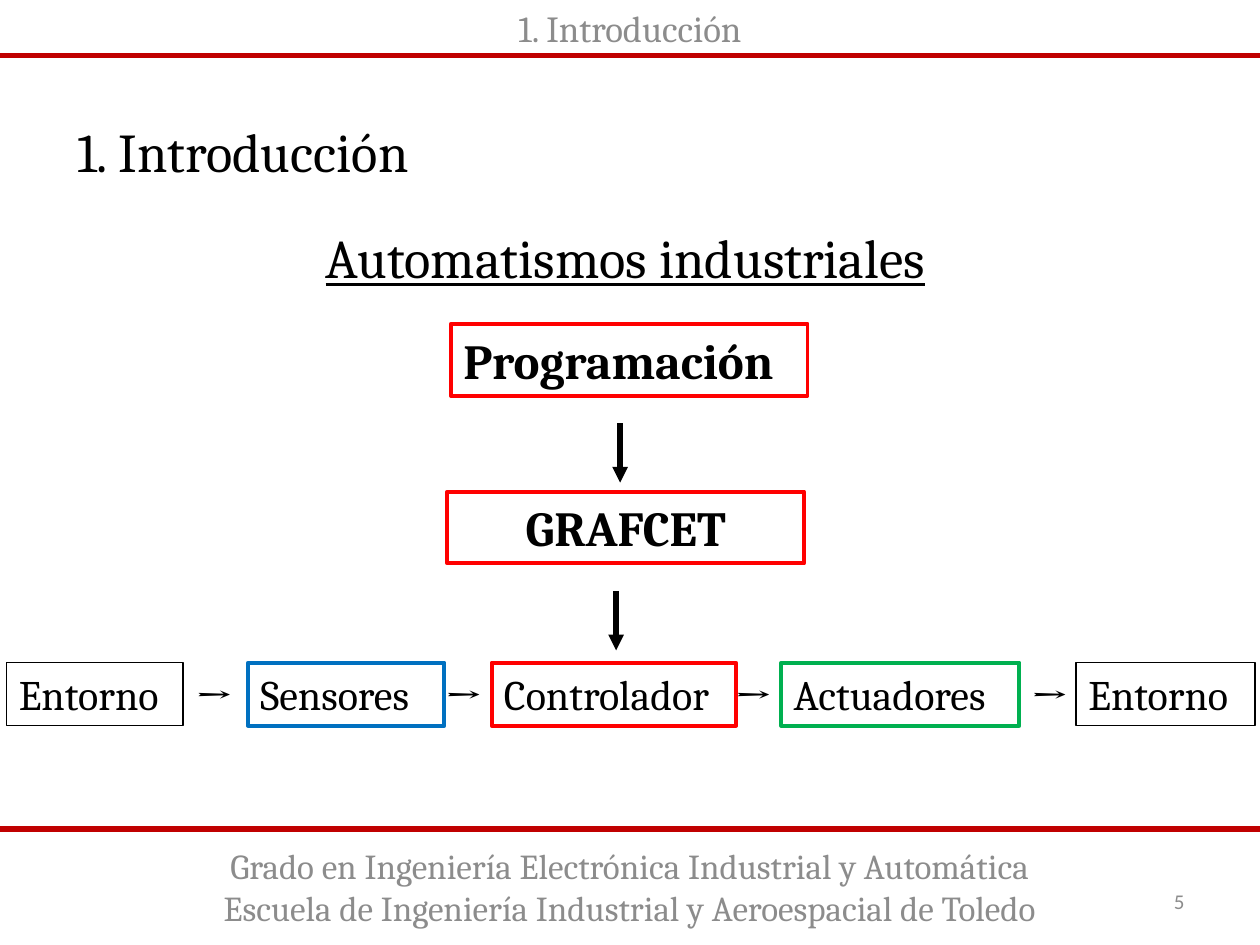
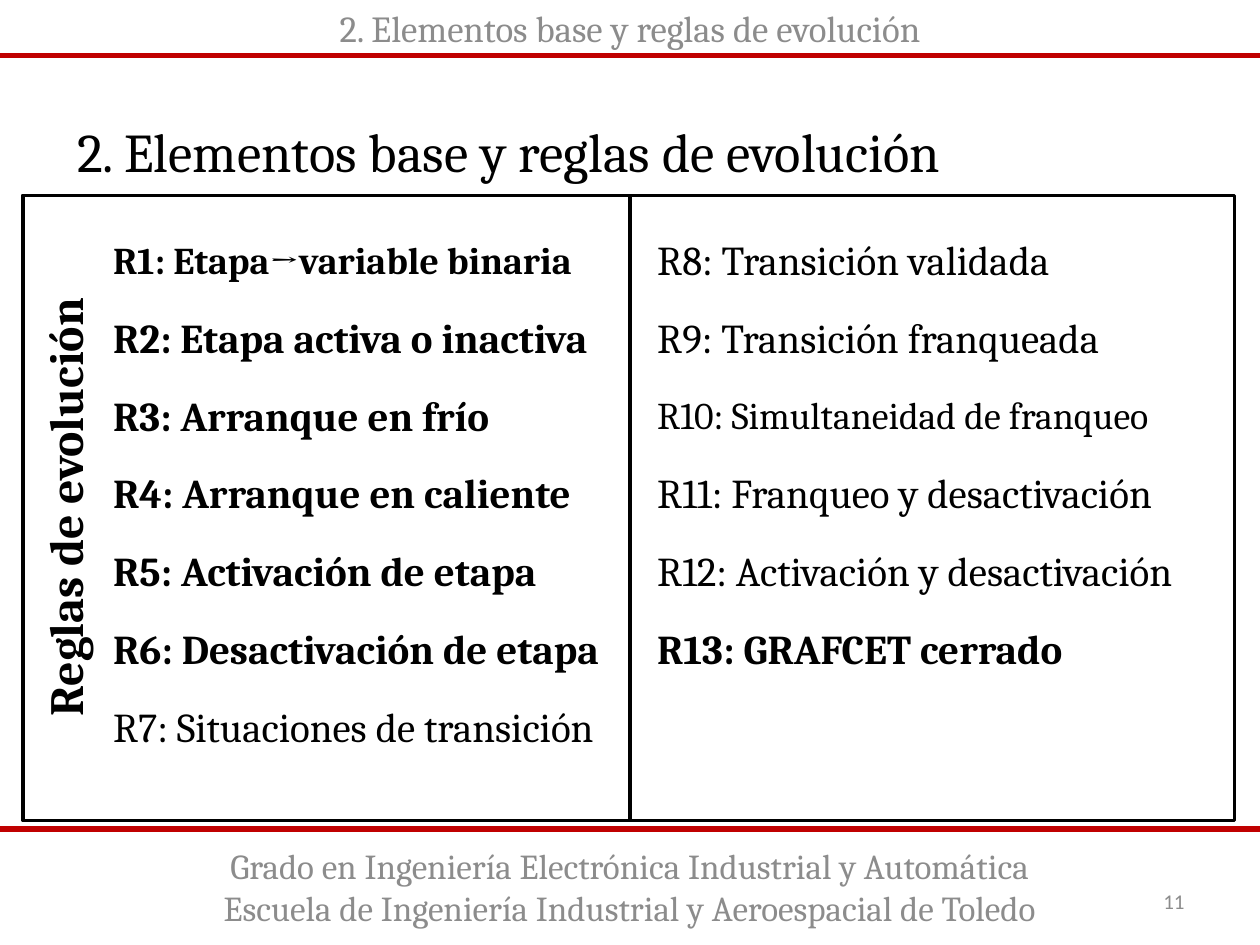
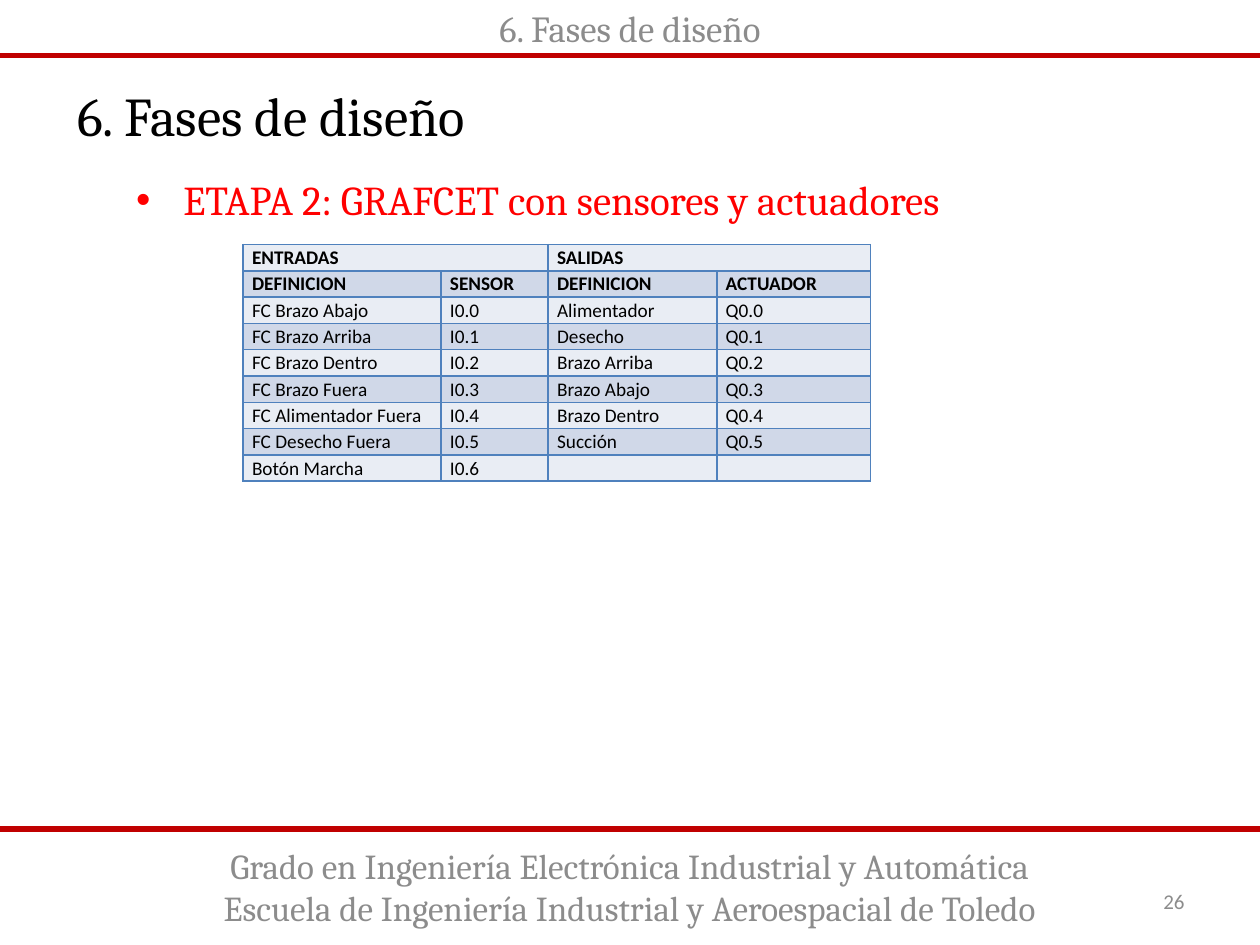
from lxml.etree import SubElement
from pptx import Presentation
from pptx.dml.color import RGBColor
from pptx.enum.shapes import MSO_CONNECTOR as Connector, MSO_SHAPE as Shape
from pptx.enum.text import MSO_ANCHOR as Anchor, MSO_AUTO_SIZE as AutoSize, PP_ALIGN as Align
from pptx.oxml.ns import qn
from pptx.util import Cm, Pt

colour = RGBColor.from_string
BLACK, GREY, RED, BAND_RED = "000000", "8C8C8C", "FF0000", "C00000"
BLUE, GREEN, TABLE_BLUE = "0070C0", "00B050", "4F81BD"
ROW_FILLS = ["E9EDF4", "D0D8E8"]
TITLE_SIZE, RULE_SIZE, SMALL_RULE_SIZE = 31.2, 23.4, 21.6
FOOTER = ["Grado en Ingeniería Electrónica Industrial y Automática",
          "Escuela de Ingeniería Industrial y Aeroespacial de Toledo"]


def write(box, lines, size, ink=BLACK, align=Align.LEFT, anchor=Anchor.MIDDLE,
          bold=False, underline=False, font="Cambria"):
    frame = box.text_frame
    frame.word_wrap = True
    frame.auto_size = AutoSize.NONE
    frame.vertical_anchor = anchor
    for index, line in enumerate(lines):
        para = frame.add_paragraph() if index else frame.paragraphs[0]
        para.alignment = align
        span = para.add_run()
        span.text = line
        span.font.name = font
        span.font.size = Pt(size)
        span.font.bold = bold
        span.font.underline = underline
        span.font.color.rgb = colour(ink)


def draw_line(page, start_x, start_y, end_x, end_y, ink):
    line = page.shapes.add_connector(
        Connector.STRAIGHT, Cm(start_x), Cm(start_y), Cm(end_x), Cm(end_y))
    line.line.color.rgb = colour(ink)
    line.line.width = Pt(3)
    SubElement(line._element.spPr, qn("a:effectLst"))
    return line


deck = Presentation()
deck.slide_width, deck.slide_height = Cm(25.4), Cm(19.05)

pages = []
for heading, number, layout, title_top, title_height in [
        ("1. Introducción", "5", 5, 2.13, 1.8),
        ("2. Elementos base y reglas de evolución", "11", 5, 2.13, 1.8),
        ("6. Fases de diseño", "26", 1, 1.52, 1.6)]:
    page = deck.slides.add_slide(deck.slide_layouts[layout])
    pages.append(page)
    for band_y in (16.71, 1.12):
        draw_line(page, 0, band_y, 25.4, band_y, BAND_RED)
    title = page.shapes.title
    title.left, title.top = Cm(1.3), Cm(title_top)
    title.width, title.height = Cm(23.01), Cm(title_height)
    write(title, [heading], TITLE_SIZE)
    number_box = page.shapes.add_textbox(Cm(18.21), Cm(17.65), Cm(5.92), Cm(1.02))
    write(number_box, [number], 12, GREY, Align.RIGHT, font="Calibri")
    footer = page.shapes.add_textbox(Cm(0), Cm(16.71), Cm(25.4), Cm(2.34))
    write(footer, FOOTER, 20, GREY, Align.CENTER)
    header = page.shapes.add_textbox(Cm(0), Cm(0), Cm(25.4), Cm(1.12))
    write(header, [heading], 21, GREY, Align.CENTER, Anchor.TOP)

intro, rules, phases = pages

subtitle = intro.shapes.add_textbox(Cm(4.5), Cm(4.42), Cm(16.21), Cm(1.52))
write(subtitle, ["Automatismos industriales"], TITLE_SIZE, align=Align.CENTER, underline=True)

for name, left, top, width, height, ink, weight, size, bold, align in [
        ("Programación", 9.09, 6.53, 7.19, 1.45, RED, 2.25, 28, True, Align.LEFT),
        ("GRAFCET", 9.02, 9.91, 7.19, 1.45, RED, 2.25, 28, True, Align.CENTER),
        ("Entorno", 0.13, 13.36, 3.56, 1.27, BLACK, 0.75, 24, False, Align.LEFT),
        ("Sensores", 5, 13.36, 3.96, 1.27, BLUE, 2.25, 24, False, Align.LEFT),
        ("Controlador", 9.91, 13.36, 4.93, 1.27, RED, 2.25, 24, False, Align.LEFT),
        ("Actuadores", 15.75, 13.36, 4.8, 1.27, GREEN, 2.25, 24, False, Align.LEFT),
        ("Entorno", 21.69, 13.36, 3.61, 1.27, BLACK, 0.75, 24, False, Align.LEFT)]:
    block = intro.shapes.add_shape(Shape.RECTANGLE, Cm(left), Cm(top), Cm(width), Cm(height))
    block.shadow.inherit = False
    block.fill.background()
    block.line.color.rgb = colour(ink)
    block.line.width = Pt(weight)
    write(block, [name], size, align=align, anchor=Anchor.TOP, bold=bold)

for arrow_x, arrow_top in [(12.5, 8.53), (12.42, 11.91)]:
    arrow = draw_line(intro, arrow_x, arrow_top, arrow_x, arrow_top + 1.2, BLACK)
    SubElement(arrow.line._get_or_add_ln(), qn("a:tailEnd"), type="triangle")

for left, width in [(3.68, 1.35), (8.71, 1.52), (14.55, 1.19), (20.52, 1.19)]:
    sign = intro.shapes.add_textbox(Cm(left), Cm(13.28), Cm(width), Cm(1.45))
    write(sign, ["→"], 28, anchor=Anchor.TOP)

for left, width in [(0.46, 12.24), (12.7, 12.19)]:
    panel = rules.shapes.add_shape(Shape.RECTANGLE, Cm(left), Cm(3.94), Cm(width), Cm(12.6))
    panel.shadow.inherit = False
    panel.fill.background()
    panel.line.color.rgb = colour(BLACK)
    panel.line.width = Pt(2)

side_label = rules.shapes.add_textbox(Cm(-5), Cm(9.37), Cm(12.6), Cm(1.7))
side_label.rotation = 270
write(side_label, ["Reglas de evolución"], 27.3, align=Align.CENTER, bold=True)

LEFT_RULES = [
    ("R1: Etapa→variable binaria", SMALL_RULE_SIZE, True),
    ("R2: Etapa activa o inactiva", RULE_SIZE, True),
    ("R3: Arranque en frío", RULE_SIZE, True),
    ("R4: Arranque en caliente", RULE_SIZE, True),
    ("R5: Activación de etapa", RULE_SIZE, True),
    ("R6: Desactivación de etapa", RULE_SIZE, True),
    ("R7: Situaciones de transición", RULE_SIZE, False)]
RIGHT_RULES = [
    ("R8: Transición validada", RULE_SIZE, False),
    ("R9: Transición franqueada", RULE_SIZE, False),
    ("R10: Simultaneidad de franqueo", SMALL_RULE_SIZE, False),
    ("R11: Franqueo y desactivación", RULE_SIZE, False),
    ("R12: Activación y desactivación", RULE_SIZE, False),
    ("R13: GRAFCET cerrado", RULE_SIZE, True)]
for left, width, column in [(2.03, 10.67, LEFT_RULES), (13, 11.61, RIGHT_RULES)]:
    for index, (rule, size, bold) in enumerate(column):
        rule_box = rules.shapes.add_textbox(
            Cm(left), Cm(4.32 + 1.57 * index), Cm(width), Cm(1.8))
        write(rule_box, [rule], size, bold=bold)

stage = phases.placeholders[1]
stage.left, stage.top, stage.width, stage.height = Cm(2.49), Cm(3.12), Cm(19.81), Cm(1.8)
write(stage, ["ETAPA 2: GRAFCET con sensores y actuadores"], RULE_SIZE, RED)

SIGNALS = [
    ("ENTRADAS", "", "SALIDAS", ""),
    ("DEFINICION", "SENSOR", "DEFINICION", "ACTUADOR"),
    ("FC Brazo Abajo", "I0.0", "Alimentador", "Q0.0"),
    ("FC Brazo Arriba", "I0.1", "Desecho", "Q0.1"),
    ("FC Brazo Dentro", "I0.2", "Brazo Arriba", "Q0.2"),
    ("FC Brazo Fuera", "I0.3", "Brazo Abajo", "Q0.3"),
    ("FC Alimentador Fuera", "I0.4", "Brazo Dentro", "Q0.4"),
    ("FC Desecho Fuera", "I0.5", "Succión", "Q0.5"),
    ("Botón Marcha", "I0.6", "", "")]
table = phases.shapes.add_table(
    len(SIGNALS), 4, Cm(4.9), Cm(4.93), Cm(12.65), Cm(4.77)).table
table.first_row = table.horz_banding = False
for column, width in zip(table.columns, (3.99, 2.16, 3.4, 3.1)):
    column.width = Cm(width)
for row_index, signals in enumerate(SIGNALS):
    table.rows[row_index].height = Cm(0.53)
    for column_index, text in enumerate(signals):
        cell = table.cell(row_index, column_index)
        cell.margin_left = cell.margin_right = Cm(0.18)
        cell.margin_top = cell.margin_bottom = 0
        properties = cell._tc.get_or_add_tcPr()
        for side in ("a:lnL", "a:lnR", "a:lnT", "a:lnB"):
            border = SubElement(properties, qn(side), w=str(Pt(1)))
            border_fill = SubElement(border, qn("a:solidFill"))
            SubElement(border_fill, qn("a:srgbClr"), val=TABLE_BLUE)
        cell.fill.solid()
        cell.fill.fore_color.rgb = colour(ROW_FILLS[row_index % 2])
        para = cell.text_frame.paragraphs[0]
        para.line_spacing = 1.07
        if text:
            span = para.add_run()
            span.text = text
            span.font.name = "Calibri"
            span.font.size = Pt(11)
            span.font.bold = row_index < 2
            span.font.color.rgb = colour(BLACK)
        else:
            SubElement(para._p, qn("a:endParaRPr"), sz="1100")
for column_index in (0, 2):
    table.cell(0, column_index).merge(table.cell(0, column_index + 1))

deck.save("out.pptx")
